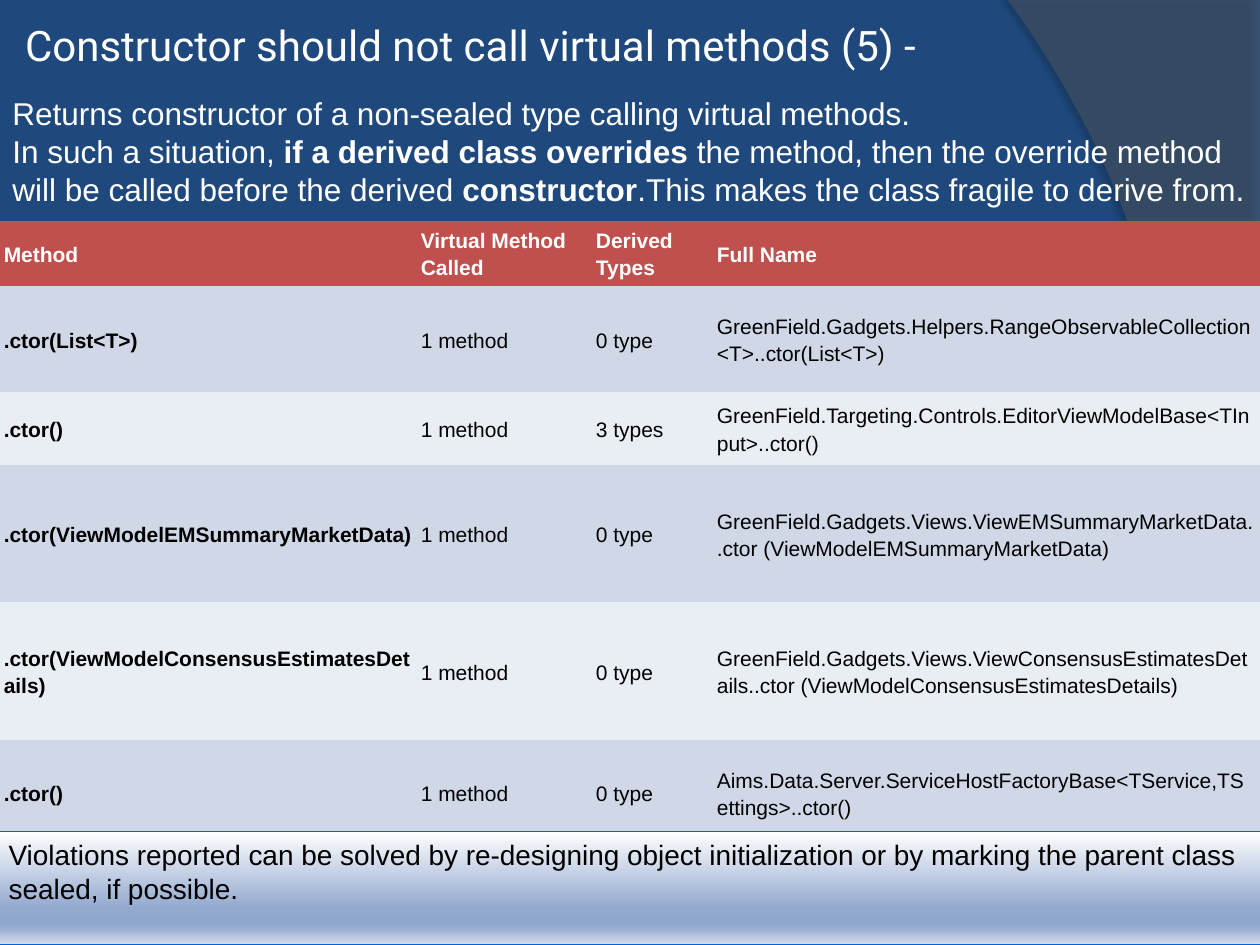
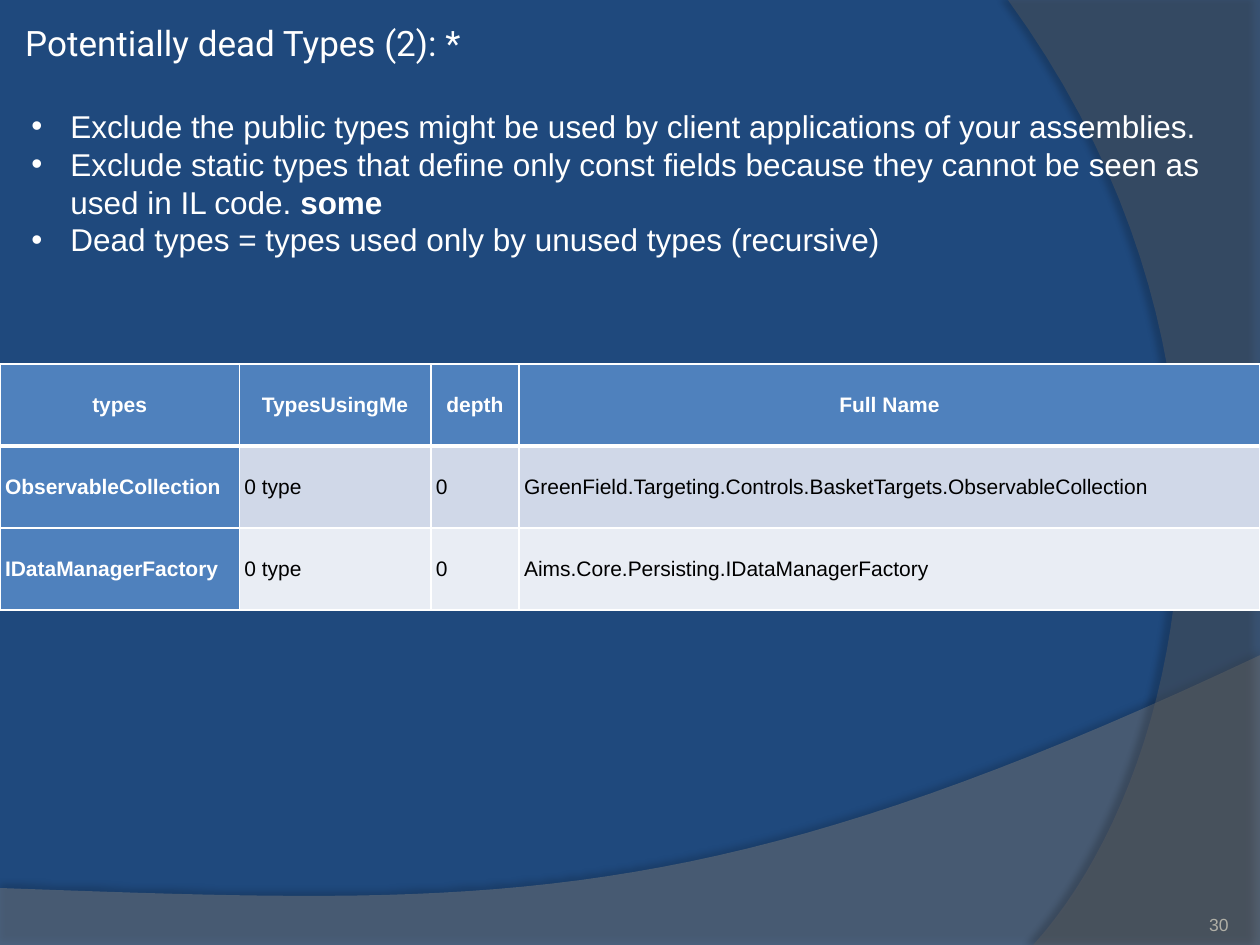
from lxml import etree
from pptx import Presentation
from pptx.dml.color import RGBColor
from pptx.enum.shapes import MSO_SHAPE
from pptx.enum.text import MSO_ANCHOR, PP_ALIGN
from pptx.oxml import parse_xml
from pptx.oxml.ns import nsdecls, qn
from pptx.util import Inches, Pt

RECT = MSO_SHAPE.RECTANGLE
TOP, MIDDLE, BOTTOM = MSO_ANCHOR.TOP, MSO_ANCHOR.MIDDLE, MSO_ANCHOR.BOTTOM
LEFT, CENTER, RIGHT = PP_ALIGN.LEFT, PP_ALIGN.CENTER, PP_ALIGN.RIGHT
SLIDE_W, SLIDE_H = Inches(10), Inches(7.5)
COL, ROW = SLIDE_W / 10, SLIDE_H / 7.5
BODY_FONT, TITLE_FONT = "Arial", "Roboto"
NAVY, WHITE, BLACK, MUTED = "1F497D", "FFFFFF", "000000", "B0AFA6"
RED, BLUE, BANDS = "C0504D", "4F81BD", ("D0D8E8", "E9EDF4")
NOTE_STOPS = ((0, "FEFEFE"), (68, "93A9CF"), (81, "8FA6CD"), (86, "9BAFD2"), (100, "D7DDEB"))


def rgb(color):
    """Turn a hex string into a colour."""
    return RGBColor.from_string(color)


def place(box):
    """Turn a box in columns and rows into slide lengths."""
    x, y, w, h = box
    return round(x * COL), round(y * ROW), round(w * COL), round(h * ROW)


def paint(target, color):
    """Give a shape, cell or background a solid fill."""
    target.fill.solid()
    target.fill.fore_color.rgb = rgb(color)


def set_frame(tf, anchor=TOP, insets=(0.1, 0.05)):
    """Set wrapping, anchor and the side and top insets of a text frame."""
    tf.word_wrap = True
    tf.vertical_anchor = anchor
    tf.margin_left = tf.margin_right = Inches(insets[0])
    tf.margin_top = tf.margin_bottom = Inches(insets[1])


def write(p, text, size, color, font=BODY_FONT, bold=False, align=LEFT):
    """Fill a paragraph run by run; ** switches bold on and off."""
    p.alignment = align
    for i, part in enumerate(text.split("**")):
        r = p.add_run()
        r.text = part
        r.font.name, r.font.size = font, Pt(size)
        r.font.bold = bold or i % 2 == 1
        r.font.color.rgb = rgb(color)


def add_bullet(p, indent=0.31):
    """Give a paragraph a hanging round bullet."""
    pPr = p._p.get_or_add_pPr()
    pPr.set("marL", str(Inches(indent)))
    pPr.set("indent", str(-Inches(indent)))
    etree.SubElement(pPr, qn("a:buFont")).set("typeface", BODY_FONT)
    etree.SubElement(pPr, qn("a:buChar")).set("char", "•")


def add_text(s, box, lines, size, color=WHITE, font=BODY_FONT, align=LEFT,
             anchor=TOP, insets=(0.1, 0.05), bullets=False):
    """Add a text box with one paragraph for each line."""
    tf = s.shapes.add_textbox(*place(box)).text_frame
    set_frame(tf, anchor, insets)
    for i, line in enumerate(lines):
        p = tf.add_paragraph() if i else tf.paragraphs[0]
        if bullets:
            add_bullet(p)
        write(p, line, size, color, font, align=align)


def add_title(s, box, text, size):
    """Add the slide title."""
    add_text(s, box, [text], size, font=TITLE_FONT, anchor=MIDDLE, insets=(0.05, 0.05))


def bezier(points, steps=40):
    """Sample a cubic curve, leaving out its start."""
    for i in range(1, steps + 1):
        t = i / steps
        weights = ((1 - t) ** 3, 3 * t * (1 - t) ** 2, 3 * t * t * (1 - t), t ** 3)
        yield tuple(sum(k * pt[axis] for k, pt in zip(weights, points)) for axis in (0, 1))


def add_wave(s, box, corners, curve, color, alpha, shadow):
    """Add a translucent panel whose last corner starts a curved edge."""
    x, y, w, h = place(box)
    outline = corners + list(bezier([corners[-1]] + curve))
    points = [(round(x + px * w), round(y + py * h)) for px, py in outline]
    builder = s.shapes.build_freeform(*points[0])
    builder.add_line_segments(points[1:], close=True)
    sp = builder.convert_to_shape()
    paint(sp, color)
    sp.line.fill.background()
    sp.shadow.inherit = False
    tint = sp._element.spPr.find(f".//{qn('a:srgbClr')}")
    etree.SubElement(tint, qn("a:alpha")).set("val", str(alpha * 1000))
    opacity, blur, dist, angle = shadow
    sp._element.spPr.find(qn("a:effectLst")).append(parse_xml(
        f'<a:outerShdw {nsdecls("a")} blurRad="{Pt(blur)}" dist="{Pt(dist)}" '
        f'dir="{angle * 60000}" algn="ctr" rotWithShape="0"><a:srgbClr val="{BLACK}">'
        f'<a:alpha val="{opacity * 1000}"/></a:srgbClr></a:outerShdw>'))


def add_backdrop(s):
    """Add the two curved panels that every slide shares."""
    add_wave(s, (0, 5.2, 10, 2.31), [(0, 0.8), (0, 1), (1, 1), (1, 0)],
             [(0.56, 0.9), (0.39, 0.86), (0, 0.8)], "7F7F7F", 45, (35, 4, 3.5, 270))
    add_wave(s, (8, 0, 2, 7.5), [(1, 0), (1, 1), (0.1, 1)],
             [(0.68, 0.83), (1.09, 0.4), (0, 0)], "5E5E5E", 40, (45, 4, 4, 180))


def set_border(cell, side, width):
    """Draw one white cell edge, or none when the width is 0."""
    fill = f'<a:solidFill><a:srgbClr val="{WHITE}"/></a:solidFill>' if width else "<a:noFill/>"
    cell._tc.get_or_add_tcPr().append(parse_xml(
        f'<a:ln{side} {nsdecls("a")} w="{Pt(width)}">{fill}</a:ln{side}>'))


def add_grid(s, box, cols, heights, rows, head_color, inset, spacing=1.0,
             head_align=LEFT, key_color=None, border=0, rule=0):
    """Add a table with a header row, bold first column and banded rows."""
    frame = s.shapes.add_table(len(rows), len(cols), *place(box))
    table = frame.table
    for column, share in zip(table.columns, cols):
        column.width = round(box[2] * COL * share / sum(cols))
    for row, share in zip(table.rows, heights):
        row.height = round(box[3] * ROW * share / sum(heights))
    for i, texts in enumerate(rows):
        for j, text in enumerate(texts):
            cell = table.cell(i, j)
            head, key = i == 0, j == 0
            edges = {"L": border, "R": border, "T": rule if i == 1 else border,
                     "B": rule if head else border}
            for side, width in edges.items():
                set_border(cell, side, width)
            accent = head_color if head else key_color if key else None
            paint(cell, accent or BANDS[(i - 1) % 2])
            cell.vertical_anchor = MIDDLE
            cell.margin_left = cell.margin_right = Inches(inset)
            cell.margin_top = cell.margin_bottom = Inches(inset)
            p = cell.text_frame.paragraphs[0]
            p.line_spacing = spacing
            write(p, text, 12, WHITE if accent else BLACK, bold=head or key,
                  align=head_align if head else LEFT)


def add_note(s, box, text):
    """Add the shaded band with the closing remark."""
    sp = s.shapes.add_shape(RECT, *place(box))
    sp.shadow.inherit = False
    sp.line.color.rgb = rgb("0062D7")
    sp.line.width = Pt(0.75)
    stops = "".join(f'<a:gs pos="{pos * 1000}"><a:srgbClr val="{color}"/></a:gs>'
                    for pos, color in NOTE_STOPS)
    sp._element.spPr.find(qn("a:prstGeom")).addnext(parse_xml(
        f'<a:gradFill {nsdecls("a")} rotWithShape="1"><a:gsLst>{stops}</a:gsLst>'
        '<a:lin ang="5400000" scaled="0"/></a:gradFill>'))
    set_frame(sp.text_frame)
    write(sp.text_frame.paragraphs[0], text, 16, BLACK)


def build_constructor_slide(s):
    """Build the slide on constructors that call virtual methods."""
    add_title(s, (0.15, -0.27, 9.6, 1.25), "Constructor should not call virtual methods (5) -", 24)
    add_text(s, (0, 0.7, 10, 1.31), [
        "Returns constructor of a non-sealed type calling virtual methods.",
        "In such a situation, **if a derived class overrides** the method, then the override "
        "method will be called before the derived **constructor**.This makes the class "
        "fragile to derive from."], 18)
    add_grid(s, (0, 1.75, 10, 4.96), (3.31, 1.39, 0.96, 4.34),
             (0.52, 0.84, 0.58, 1.09, 1.09, 0.84), [
        ("Method", "Virtual Method Called", "Derived Types", "Full Name"),
        (".ctor(List<T>)", "1 method", "0 type",
         "GreenField.Gadgets.Helpers.RangeObservableCollection<T>..ctor(List<T>)"),
        (".ctor()", "1 method", "3 types",
         "GreenField.Targeting.Controls.EditorViewModelBase<TInput>..ctor()"),
        (".ctor(ViewModelEMSummaryMarketData)", "1 method", "0 type",
         "GreenField.Gadgets.Views.ViewEMSummaryMarketData..ctor (ViewModelEMSummaryMarketData)"),
        (".ctor(ViewModelConsensusEstimatesDetails)", "1 method", "0 type",
         "GreenField.Gadgets.Views.ViewConsensusEstimatesDetails..ctor "
         "(ViewModelConsensusEstimatesDetails)"),
        (".ctor()", "1 method", "0 type",
         "Aims.Data.Server.ServiceHostFactoryBase<TService,TSettings>..ctor()"),
    ], RED, inset=0.03, spacing=1.15)
    add_note(s, (-0.03, 6.6, 10.08, 0.9),
             "Violations reported can be solved by re-designing object initialization or by "
             "marking the parent class sealed, if possible.")


def build_dead_types_slide(s):
    """Build the slide on potentially dead types."""
    add_text(s, (8.92, 7.02, 0.83, 0.4), ["30"], 10, MUTED,
             align=RIGHT, anchor=BOTTOM, insets=(0, 0))
    add_title(s, (0.15, -0.29, 9.85, 1.25), "Potentially dead Types (2): *", 20)
    add_text(s, (0.15, 0.8, 9.6, 1.31), [
        "Exclude the public types might be used by client applications of your assemblies.",
        "Exclude static types that define only const fields because they cannot be seen as "
        "used in IL code. **some**",
        "Dead types = types used only by unused types (recursive)"], 18, bullets=True)
    add_grid(s, (0, 2.89, 10, 1.95), (1.9, 1.52, 0.7, 5.88), (1, 1, 1), [
        ("types", "TypesUsingMe", "depth", "Full Name"),
        ("ObservableCollection", "0 type", "0",
         "GreenField.Targeting.Controls.BasketTargets.ObservableCollection"),
        ("IDataManagerFactory", "0 type", "0", "Aims.Core.Persisting.IDataManagerFactory"),
    ], BLUE, inset=0.04, head_align=CENTER, key_color=BLUE, border=1, rule=3)


def main():
    """Build and save the presentation."""
    prs = Presentation()
    prs.slide_width, prs.slide_height = SLIDE_W, SLIDE_H
    for build in (build_constructor_slide, build_dead_types_slide):
        s = prs.slides.add_slide(prs.slide_layouts[6])
        paint(s.background, NAVY)
        add_backdrop(s)
        build(s)
    prs.save("out.pptx")


if __name__ == "__main__":
    main()
